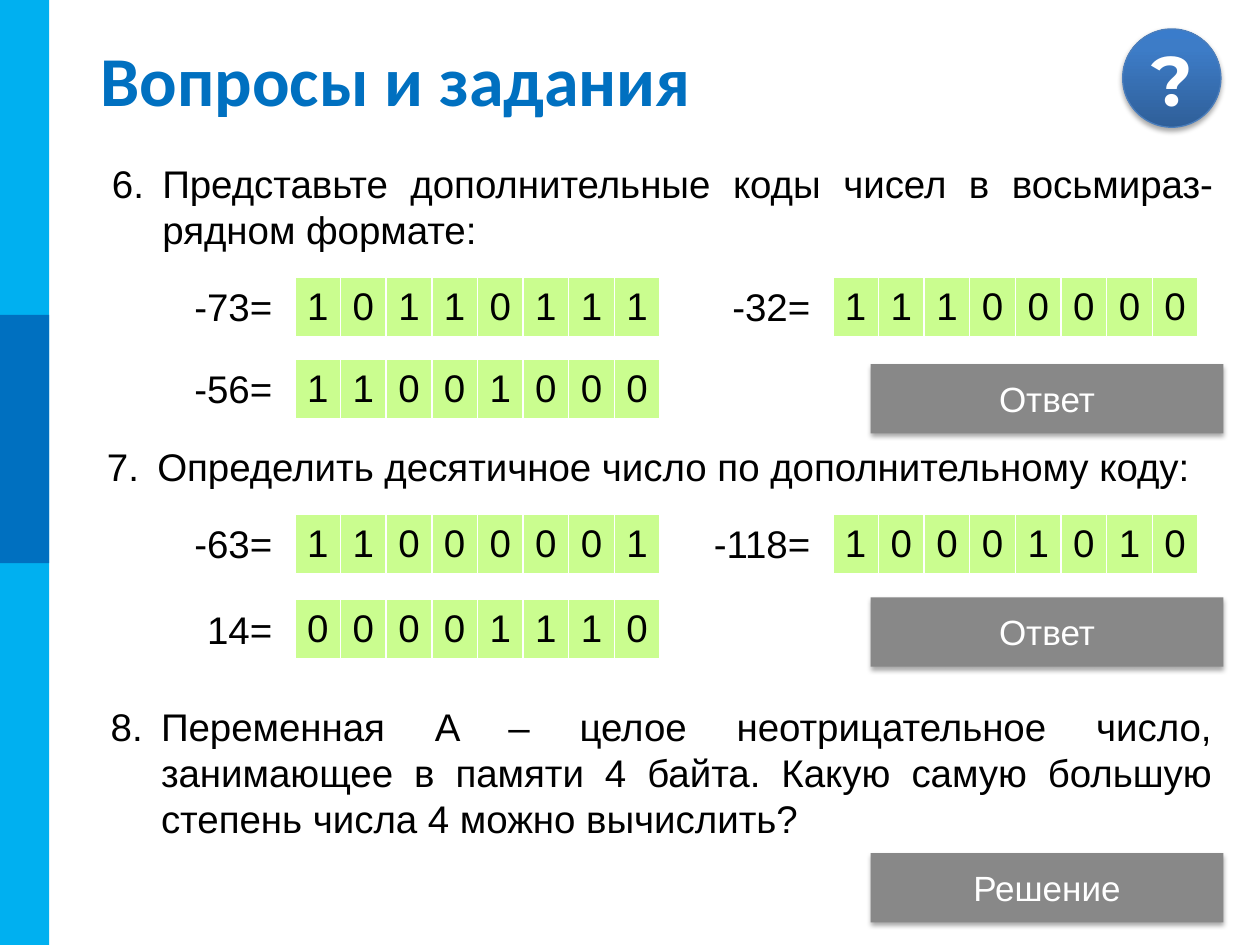
from copy import deepcopy
from dataclasses import dataclass

from lxml import etree
from pptx import Presentation
from pptx import util as u
from pptx.dml import color as dml
from pptx.enum import shapes, text
from pptx.oxml import ns


@dataclass(frozen=True)
class Theme:
    sky: str = "00B0F0"
    blue: str = "0070C0"
    cell: str = "CAFD8F"
    gray: str = "888888"
    edge: str = "4B7EBC"
    ink: str = "000000"
    white: str = "FFFFFF"
    glow: tuple = ((0, "2F5F99"), (0.8, "3D7CC7"), (1, "3A7CCB"))
    head: int = 40
    body: int = 22
    small: int = 20


T = Theme()
LEFT, MID, RIGHT, FULL = (
    text.PP_ALIGN.LEFT, text.PP_ALIGN.CENTER,
    text.PP_ALIGN.RIGHT, text.PP_ALIGN.JUSTIFY)


def rgb(code):
    return dml.RGBColor.from_string(code)


def inch(box):
    return [u.Inches(n) for n in box]


def add_node(root, tag, **vals):
    node = etree.SubElement(root, ns.qn(tag))
    for key, val in vals.items():
        node.set(key, str(val))
    return node


def write(frame, words, align=LEFT, size=T.body, ink=T.ink, face="Arial", bold=False):
    para = frame.paragraphs[0]
    para.alignment = align
    run = para.add_run()
    run.text = words
    style = {"name": face, "size": u.Pt(size), "bold": bold}
    for key, val in style.items():
        setattr(run.font, key, val)
    run.font.color.rgb = rgb(ink)
    return para


def add_text(slide, box, words, wrap=True, anchor=text.MSO_ANCHOR.TOP, **style):
    frame = slide.shapes.add_textbox(*inch(box)).text_frame
    frame.word_wrap = wrap
    frame.vertical_anchor = anchor
    return write(frame, words, **style)


def add_form(slide, kind, box, fill):
    form = slide.shapes.add_shape(kind, *inch(box))
    form.shadow.inherit = False
    form.fill.solid()
    form.fill.fore_color.rgb = rgb(fill)
    form.line.fill.background()
    return form


def add_shade(form):
    root = next(form._element.iter(ns.qn("a:effectLst")))
    shade = add_node(root, "a:outerShdw", blurRad=u.Pt(3.1), dist=u.Pt(1.8),
                     dir=5400000, rotWithShape=0)
    tint = add_node(shade, "a:srgbClr", val=T.ink)
    add_node(tint, "a:alpha", val=35000)


def add_side(slide, box):
    left, top, width, height = box
    add_form(slide, shapes.MSO_SHAPE.RECTANGLE, box, T.sky)
    add_form(slide, shapes.MSO_SHAPE.RECTANGLE,
             (left, top + height / 3, width, 1.97), T.blue)


def add_badge(slide, box):
    form = add_form(slide, shapes.MSO_SHAPE.OVAL, box, T.blue)
    form.fill.gradient()
    form.fill.gradient_angle = 90
    stop = next(form._element.iter(ns.qn("a:gs")))
    stop.addnext(deepcopy(stop))
    for stop, (place, tint) in zip(form.fill.gradient_stops, T.glow):
        stop.position = place
        stop.color.rgb = rgb(tint)
    form.line.color.rgb = rgb(T.edge)
    form.line.width = u.Pt(0.75)
    add_shade(form)
    form.text_frame.vertical_anchor = text.MSO_ANCHOR.MIDDLE
    write(form.text_frame, "?", MID, T.head, T.white, "Montserrat", True)


def add_button(slide, box, words):
    form = add_form(slide, shapes.MSO_SHAPE.RECTANGLE, box, T.gray)
    add_shade(form)
    form.text_frame.vertical_anchor = text.MSO_ANCHOR.MIDDLE
    write(form.text_frame, words, MID, T.small, T.white)


def add_task(slide, box, start, words, align):
    para = add_text(slide, box, words, align=align)
    props = para._p.get_or_add_pPr()
    props.set("marL", str(u.Inches(0.4)))
    props.set("indent", str(u.Inches(-0.4)))
    add_node(props, "a:buFont", typeface="+mj-lt")
    add_node(props, "a:buAutoNum", type="arabicPeriod", startAt=start)


def add_code(slide, box, label, bits):
    left, top, width, height = box
    add_text(slide, (left - 1.08, top, 1, height), label, wrap=False, align=RIGHT)
    grid = slide.shapes.add_table(1, len(bits), *inch(box)).table
    grid.first_row = grid.horz_banding = False
    form = {"margin_left": 0, "margin_right": 0,
            "vertical_anchor": text.MSO_ANCHOR.MIDDLE}
    for col, bit in enumerate(bits):
        grid.columns[col].width = u.Inches(width / len(bits))
        cell = grid.cell(0, col)
        for key, val in form.items():
            setattr(cell, key, val)
        cell.fill.solid()
        cell.fill.fore_color.rgb = rgb(T.cell)
        write(cell.text_frame, bit, MID)


def main():
    deck = Presentation()
    deck.slide_width, deck.slide_height = inch((10, 7.5))
    slide = deck.slides.add_slide(deck.slide_layouts[6])
    add_side(slide, (0, 0, 0.39, 7.5))
    add_badge(slide, (8.91, 0.23, 0.78, 0.78))
    add_text(slide, (0.7, 0.3, 8.1, 0.64), "Вопросы и задания",
             anchor=text.MSO_ANCHOR.MIDDLE, size=T.head, ink=T.blue,
             face="Calibri", bold=True)
    tasks = (
        ((0.79, 1.22, 8.94, 0.84), FULL,
         "Представьте дополнительные коды чисел в восьмираз-рядном формате:"),
        ((0.75, 3.47, 9.25, 0.47), LEFT,
         "Определить десятичное число по дополнительному коду:"),
        ((0.78, 5.53, 8.94, 1.21), FULL,
         "Переменная A – целое неотрицательное число, занимающее в памяти "
         "4 байта. Какую самую большую степень числа 4 можно вычислить?"),
    )
    for start, (box, align, words) in enumerate(tasks, 6):
        add_task(slide, box, start, words, align)
    codes = (
        (2.34, 2.2, "-73=", "10110111"),
        (6.61, 2.2, "-32=", "11100000"),
        (2.34, 2.85, "-56=", "11001000"),
        (2.34, 4.08, "-63=", "11000001"),
        (6.61, 4.08, "-118=", "10001010"),
        (2.34, 4.76, "14=", "00001110"),
    )
    for left, top, label, bits in codes:
        add_code(slide, (left, top, 2.9, 0.47), label, bits)
    for top, words in ((2.89, "Ответ"), (4.74, "Ответ"), (6.77, "Решение")):
        add_button(slide, (6.91, top, 2.8, 0.55), words)
    deck.save("out.pptx")


if __name__ == "__main__":
    main()
